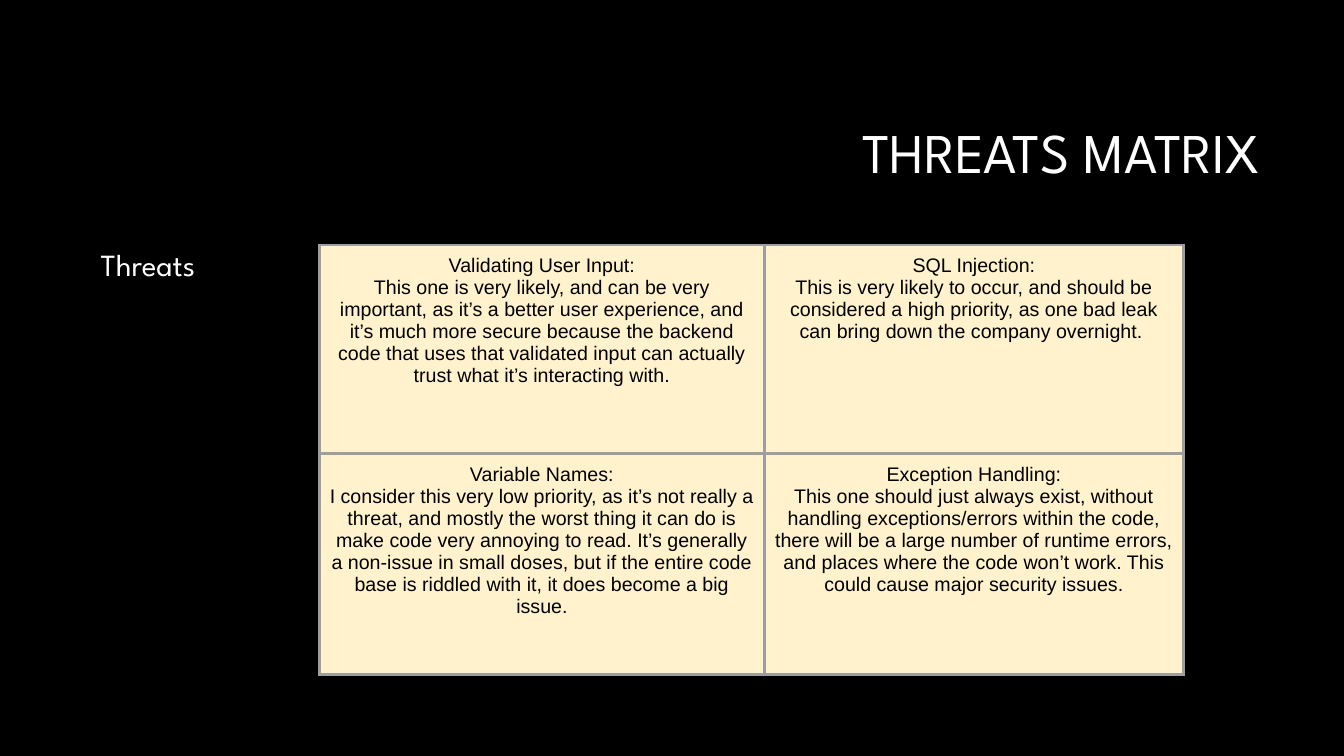
from lxml import etree
from pptx import Presentation
from pptx import util as u
from pptx.dml.color import RGBColor
from pptx.enum import text
from pptx.oxml.ns import qn

COLOURS = {"background": "000000", "heading": "FFFFFF", "cell": "FFF2CC",
           "cell_text": "000000", "border": "9E9E9E"}
HEADING_FONT, CELL_FONT = "League Spartan", "Arial"

THREATS = [
    [("Validating User Input:",
      "This one is very likely, and can be very important, as it’s a better user "
      "experience, and it’s much more secure because the backend code that uses that "
      "validated input can actually trust what it’s interacting with."),
     ("SQL Injection:",
      "This is very likely to occur, and should be considered a high priority, as one "
      "bad leak can bring down the company overnight. ")],
    [("Variable Names:",
      "I consider this very low priority, as it’s not really a threat, and mostly the "
      "worst thing it can do is make code very annoying to read. It’s generally a "
      "non-issue in small doses, but if the entire code base is riddled with it, it "
      "does become a big issue."),
     ("Exception Handling:",
      "This one should just always exist, without handling exceptions/errors within the "
      "code, there will be a large number of runtime errors, and places where the code "
      "won’t work. This could cause major security issues.")],
]


class SlideBuilder:
    def __init__(self, deck):
        self.slide = deck.slides.add_slide(deck.slide_layouts[5])
        fill = self.slide.background.fill
        fill.solid()
        fill.fore_color.rgb = self.colour("background")

    def colour(self, name):
        return RGBColor.from_string(COLOURS[name])

    def add_span(self, para, words, font, size, colour):
        span = para.add_run()
        span.text = words
        span.font.name = font
        span.font.size = u.Pt(size)
        span.font.color.rgb = self.colour(colour)

    def fill_heading(self, box, words, size, anchor, align):
        """Write one heading line into a box and return its paragraph."""
        frame = box.text_frame
        frame.word_wrap = True
        frame.auto_size = text.MSO_AUTO_SIZE.NONE
        frame.vertical_anchor = anchor
        para = frame.paragraphs[0]
        para.alignment = align
        para.line_spacing = 0.9
        self.add_span(para, words, HEADING_FONT, size, "heading")
        return para

    def title(self, words, left, top, width, height):
        box = self.slide.shapes.title
        box.left, box.top = u.Inches(left), u.Inches(top)
        box.width, box.height = u.Inches(width), u.Inches(height)
        self.fill_heading(box, words, 40, text.MSO_ANCHOR.MIDDLE, text.PP_ALIGN.RIGHT)

    def label(self, words, left, top, width, height):
        box = self.slide.shapes.add_textbox(
            u.Inches(left), u.Inches(top), u.Inches(width), u.Inches(height))
        para = self.fill_heading(box, words, 22, text.MSO_ANCHOR.TOP, text.PP_ALIGN.LEFT)
        para.space_before = u.Pt(10)
        indents = para._p.get_or_add_pPr()
        indents.set("marL", str(u.Inches(0.25)))
        indents.set("indent", str(u.Inches(-0.1)))

    def table(self, rows, left, top, widths, heights):
        table = self.slide.shapes.add_table(
            len(heights), len(widths), u.Inches(left), u.Inches(top),
            u.Inches(sum(widths)), u.Inches(sum(heights))).table
        table.first_row = table.horz_banding = False
        for column, width in zip(table.columns, widths):
            column.width = u.Inches(width)
        for row, height, threats in zip(table.rows, heights, rows):
            row.height = u.Inches(height)
            for cell, threat in zip(row.cells, threats):
                self.cell(cell, threat)

    def cell(self, cell, lines):
        cell.margin_left = cell.margin_right = u.Inches(0.1)
        cell.margin_top = cell.margin_bottom = u.Inches(0.1)
        frame = cell.text_frame
        for number, line in enumerate(lines):
            para = frame.add_paragraph() if number else frame.paragraphs[0]
            para.alignment = text.PP_ALIGN.CENTER
            self.add_span(para, line, CELL_FONT, 14, "cell_text")
        self.borders(cell)
        cell.fill.solid()
        cell.fill.fore_color.rgb = self.colour("cell")

    def borders(self, cell):
        properties = cell._tc.get_or_add_tcPr()
        for side in ("a:lnL", "a:lnR", "a:lnT", "a:lnB"):
            line = etree.SubElement(properties, qn(side), w=str(u.Pt(2.25)))
            fill = etree.SubElement(line, qn("a:solidFill"))
            etree.SubElement(fill, qn("a:srgbClr"), val=COLOURS["border"])


def main():
    deck = Presentation()
    deck.slide_width, deck.slide_height = u.Inches(13.33), u.Inches(7.5)
    builder = SlideBuilder(deck)
    builder.title("THREATS MATRIX", 3.17, 0.84, 9.42, 1.41)
    builder.label("Threats", 0.75, 2.43, 2.72, 4.4)
    builder.table(THREATS, 3.17, 2.43, widths=(4.41, 4.16), heights=(2.07, 2.19))
    deck.save("out.pptx")


if __name__ == "__main__":
    main()
